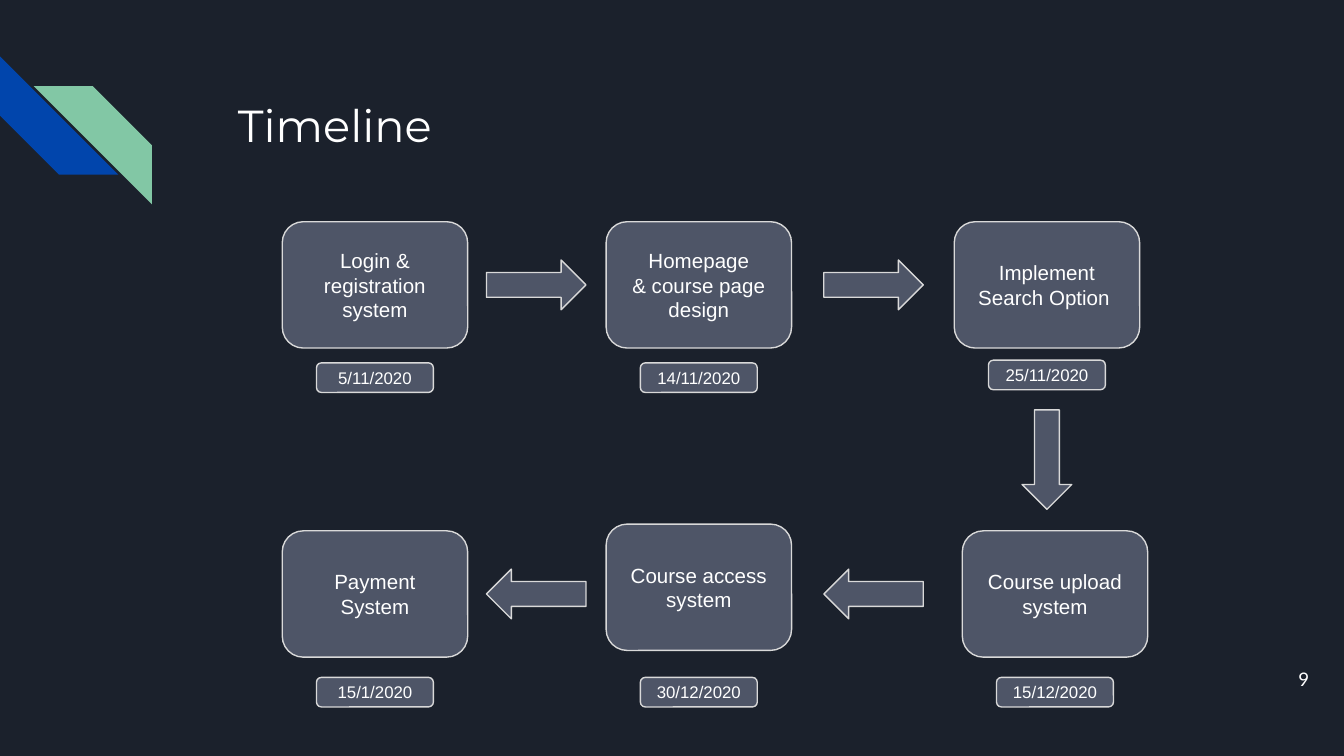
from pptx import Presentation
from pptx.dml.color import RGBColor
from pptx.enum.shapes import MSO_SHAPE
from pptx.enum.text import MSO_ANCHOR, MSO_AUTO_SIZE, PP_ALIGN
from pptx.util import Inches, Pt

WHITE, NIGHT, SLATE, SILVER = "FFFFFF", "1B212C", "4E5567", "D9D9D9"
BLUE, GREEN = "0145AC", "82C7A5"

# Centre lines of the grid, in inches
COLUMNS = (2.79, 5.2, 7.79)
ARROW_COLUMNS = (3.99, 6.5)
ROWS = (2.12, 4.42)
DATE_ROWS = (2.81, 5.15)
STEP_SIZE, DATE_SIZE = (1.38, 0.94), (0.87, 0.22)
ARROW_LENGTH, ARROW_WIDTH = 0.74, 0.37

# Text, date, column, row, shift right, step shift down, date shift down
STEPS = (
    ("Login & registration system", "5/11/2020", 0, 0, 0, 0, 0),
    ("Homepage\n& course page\ndesign", "14/11/2020", 1, 0, 0, 0, 0),
    ("Implement Search Option ", "25/11/2020", 2, 0, 0, 0, -0.02),
    ("Course upload\nsystem", "15/12/2020", 2, 1, 0.06, 0, 0),
    ("Course access\nsystem", "30/12/2020", 1, 1, 0, -0.05, 0),
    ("Payment System", "15/1/2020", 0, 1, 0, 0, 0),
)


def color(code):
    return RGBColor.from_string(code)


def write(box, text, size=11, font="Arial", align=PP_ALIGN.CENTER,
          anchor=MSO_ANCHOR.MIDDLE):
    frame = box.text_frame
    frame.text = text
    frame.word_wrap = True
    frame.auto_size = MSO_AUTO_SIZE.NONE
    frame.vertical_anchor = anchor
    frame.margin_left = frame.margin_right = Inches(0.1)
    frame.margin_top = frame.margin_bottom = Inches(0.1)
    for para in frame.paragraphs:
        para.alignment = align
        for span in para.runs:
            span.font.size = Pt(size)
            span.font.name = font
            span.font.color.rgb = color(WHITE)


def add_centred(page, kind, x, y, width, height, fill=SLATE, line=SILVER):
    """Add a preset shape whose middle is at x, y."""
    shape = page.shapes.add_shape(kind, Inches(x - width / 2), Inches(y - height / 2),
                                  Inches(width), Inches(height))
    shape.shadow.inherit = False
    shape.fill.solid()
    shape.fill.fore_color.rgb = color(fill)
    if line:
        shape.line.color.rgb = color(line)
        shape.line.width = Pt(0.75)
    else:
        shape.line.fill.background()
    return shape


def add_stripe(page, x, y, fill, rotation):
    stripe = add_centred(page, MSO_SHAPE.DIAGONAL_STRIPE, x, y, 0.88, 0.88, fill, None)
    stripe.rotation = rotation


def add_title(page, text):
    title = page.shapes.title
    title.left, title.top = Inches(1.67), Inches(0.63)
    title.width, title.height = Inches(4.15), Inches(0.7)
    write(title, text, size=24, font="Montserrat", align=PP_ALIGN.LEFT,
          anchor=MSO_ANCHOR.TOP)


def add_step(page, text, date, column, row, shift, step_drop, date_drop):
    x = COLUMNS[column] + shift
    step = add_centred(page, MSO_SHAPE.ROUNDED_RECTANGLE, x, ROWS[row] + step_drop,
                       *STEP_SIZE)
    write(step, text)
    label = add_centred(page, MSO_SHAPE.ROUNDED_RECTANGLE, x,
                        DATE_ROWS[row] + date_drop, *DATE_SIZE)
    write(label, date, size=9)


def add_arrows(page):
    for kind, y in zip((MSO_SHAPE.RIGHT_ARROW, MSO_SHAPE.LEFT_ARROW), ROWS):
        for x in ARROW_COLUMNS:
            add_centred(page, kind, x, y, ARROW_LENGTH, ARROW_WIDTH)
    add_centred(page, MSO_SHAPE.DOWN_ARROW, COLUMNS[-1], 3.42, ARROW_WIDTH, ARROW_LENGTH)


def add_page_number(page, number):
    box = page.shapes.add_textbox(Inches(9.24), Inches(4.84), Inches(0.6), Inches(0.43))
    write(box, number, size=10, font="Lato", align=PP_ALIGN.RIGHT)


def main():
    deck = Presentation()
    deck.slide_width = Inches(10)
    deck.slide_height = deck.slide_width * 9 // 16
    page = deck.slides.add_slide(deck.slide_layouts.get_by_name("Title Only"))
    page.background.fill.solid()
    page.background.fill.fore_color.rgb = color(NIGHT)

    add_stripe(page, 0.44, 0.86, BLUE, 270)
    add_stripe(page, 0.69, 1.08, GREEN, 90)
    add_title(page, "Timeline")
    for step in STEPS:
        add_step(page, *step)
    add_arrows(page)
    add_page_number(page, "9")
    deck.save("out.pptx")


if __name__ == "__main__":
    main()
